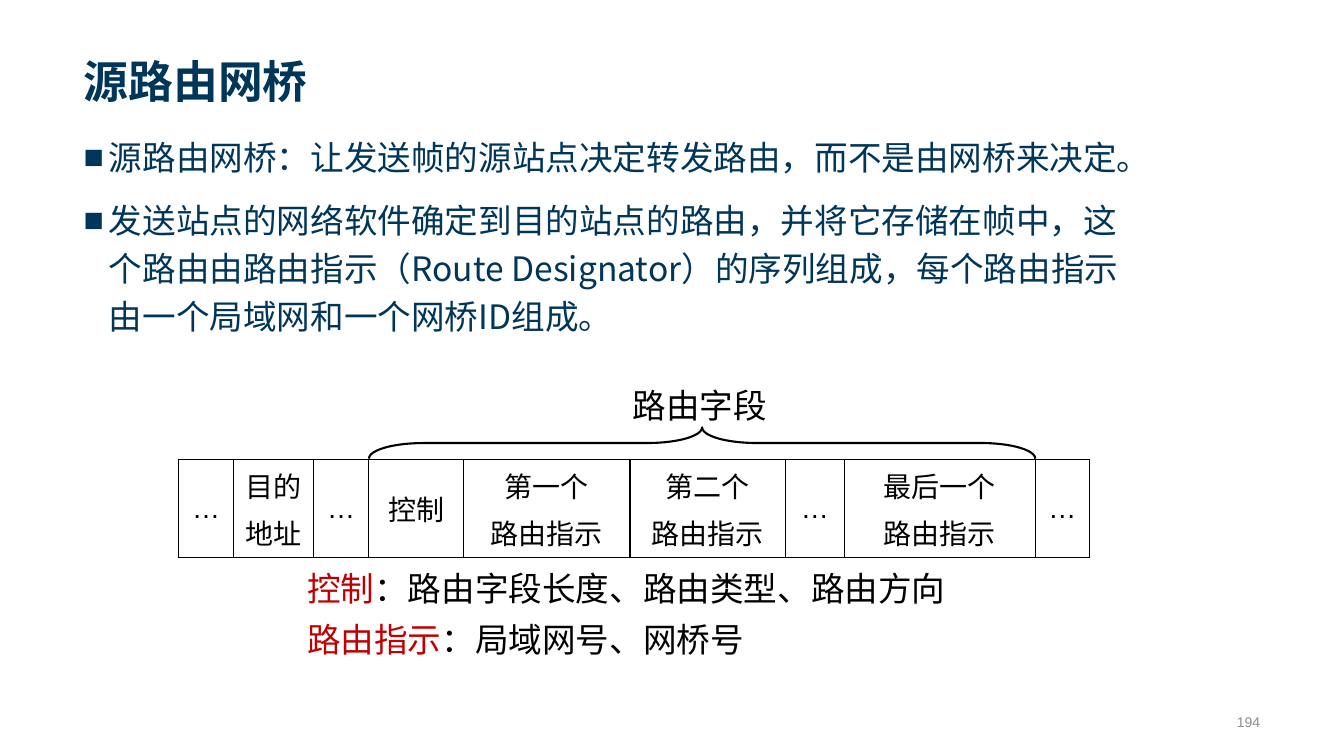
from dataclasses import dataclass

from lxml import etree
from pptx import Presentation
from pptx.dml.color import RGBColor
from pptx.enum import shapes, text
from pptx.oxml import ns
from pptx.util import Pt


@dataclass(frozen=True)
class Theme:
    navy: RGBColor = RGBColor(0x00, 0x36, 0x59)
    black: RGBColor = RGBColor(0, 0, 0)
    red: RGBColor = RGBColor(0xC0, 0, 0)
    grey: RGBColor = RGBColor(0x8C, 0x8C, 0x8C)
    cjk: str = "Noto Sans CJK SC"
    latin: str = "Arial"
    title: int = 32
    body: int = 24
    cell: int = 20
    number: int = 10


THEME = Theme()

POINTS = [
    "源路由网桥：让发送帧的源站点决定转发路由，而不是由网桥来决定。",
    "发送站点的网络软件确定到目的站点的路由，并将它存储在帧中，这个路由由路由指示"
    "（Route Designator）的序列组成，每个路由指示由一个局域网和一个网桥ID组成。",
]
FRAME_FIELDS = [
    ("…", 39.6), ("目的\n地址", 56.9), ("…", 39.6), ("控制", 67.7),
    ("第一个\n路由指示", 118.8), ("第二个\n路由指示", 110.9), ("…", 42.5),
    ("最后一个\n路由指示", 136.1), ("…", 38.9),
]
ROUTE_FIELDS = slice(3, 8)


def style(paragraph, size, color, name, bold=False):
    font = paragraph.font
    font.size, font.bold, font.name = Pt(size), bold, name
    font.color.rgb = color
    east_asian = etree.Element(ns.qn("a:ea"), typeface=THEME.cjk)
    font._element.find(ns.qn("a:latin")).addnext(east_asian)


def place(shape, left, top, width, height):
    shape.left, shape.top = Pt(left), Pt(top)
    shape.width, shape.height = Pt(width), Pt(height)


def add_title(slide, left, top, width, height):
    title = slide.shapes.title
    place(title, left, top, width, height)
    frame = title.text_frame
    frame.text = "源路由网桥"
    frame.auto_size = text.MSO_AUTO_SIZE.NONE
    frame.vertical_anchor = text.MSO_ANCHOR.BOTTOM
    heading = frame.paragraphs[0]
    heading.alignment = text.PP_ALIGN.LEFT
    style(heading, THEME.title, THEME.navy, THEME.cjk, bold=True)


def add_points(slide, left, top, width, height):
    body = slide.placeholders[1]
    place(body, left, top, width, height)
    frame = body.text_frame
    frame.text = "\n".join(POINTS)
    frame.auto_size = text.MSO_AUTO_SIZE.NONE
    for index, point in enumerate(frame.paragraphs):
        point.line_spacing = 1.2
        point.space_before = Pt(10 if index else 0)
        properties = point._p.get_or_add_pPr()
        properties.set("marL", str(Pt(18)))
        properties.set("indent", str(-Pt(18)))
        etree.SubElement(properties, ns.qn("a:buFont"), typeface=THEME.latin)
        etree.SubElement(properties, ns.qn("a:buChar"), char="■")
        style(point, THEME.body, THEME.navy, THEME.cjk)


def add_label(slide, left, top, width, height, *parts):
    """Place one centred line made of (words, colour) parts."""
    label = slide.shapes.add_textbox(Pt(left), Pt(top), Pt(width), Pt(height))
    frame = label.text_frame
    frame.word_wrap = False
    frame.auto_size = text.MSO_AUTO_SIZE.SHAPE_TO_FIT_TEXT
    line = frame.paragraphs[0]
    line.alignment = text.PP_ALIGN.CENTER
    for words, color in parts:
        run = line.add_run()
        run.text = words
        run.font.color.rgb = color
    style(line, THEME.body, THEME.black, THEME.latin)


def add_borders(cell):
    properties = cell._tc.get_or_add_tcPr()
    for index, side in enumerate(("lnL", "lnR", "lnT", "lnB")):
        border = etree.Element(ns.qn(f"a:{side}"), w=str(Pt(1)))
        fill = etree.SubElement(border, ns.qn("a:solidFill"))
        etree.SubElement(fill, ns.qn("a:srgbClr"), val=str(THEME.black))
        properties.insert(index, border)


def add_frame_format(slide, left, top, height):
    """Draw the frame fields, with a brace over the routing fields."""
    widths = [width for _, width in FRAME_FIELDS]
    table = slide.shapes.add_table(1, len(widths), Pt(left), Pt(top),
                                   Pt(sum(widths)), Pt(height)).table
    table.first_row = table.horz_banding = False
    table.rows[0].height = Pt(height)
    for column, (words, width) in enumerate(FRAME_FIELDS):
        table.columns[column].width = Pt(width)
        cell = table.cell(0, column)
        cell.text = words
        cell.vertical_anchor = text.MSO_ANCHOR.MIDDLE
        cell.fill.background()
        add_borders(cell)
        for index, line in enumerate(cell.text_frame.paragraphs):
            line.alignment = text.PP_ALIGN.CENTER
            line.space_before = Pt(4 if index else 0)
            style(line, THEME.cell, THEME.black, THEME.latin)

    span, depth = sum(widths[ROUTE_FIELDS]), 22.3
    center_x = left + sum(widths[:ROUTE_FIELDS.start]) + span / 2
    center_y = top - depth / 2 - 0.7
    brace = slide.shapes.add_shape(
        shapes.MSO_SHAPE.LEFT_BRACE, Pt(center_x - depth / 2),
        Pt(center_y - span / 2), Pt(depth), Pt(span))
    brace.rotation = 90
    brace.adjustments[0] = 1.75
    brace.shadow.inherit = False
    brace.fill.background()
    brace.line.color.rgb = THEME.black
    brace.line.width = Pt(1.5)
    add_label(slide, center_x - 61.5, top - 56.9, 120, 36,
              ("路由字段", THEME.black))


def add_legend(slide, left, top):
    entries = [("控制", "：路由字段长度、路由类型、路由方向", 480),
               ("路由指示", "：局域网号、网桥号", 336)]
    for row, (term, meaning, width) in enumerate(entries):
        add_label(slide, left, top + row * 36.7, width, 36,
                  (term, THEME.red), (meaning, THEME.black))


def add_page_number(slide, left, top, width, height):
    box = slide.shapes.add_textbox(Pt(left), Pt(top), Pt(width), Pt(height))
    frame = box.text_frame
    frame.word_wrap = True
    frame.vertical_anchor = text.MSO_ANCHOR.MIDDLE
    frame.text = "194"
    number = frame.paragraphs[0]
    number.alignment = text.PP_ALIGN.RIGHT
    style(number, THEME.number, THEME.grey, THEME.latin)


def main():
    deck = Presentation()
    deck.slide_width, deck.slide_height = Pt(960), Pt(540)
    slide = deck.slides.add_slide(deck.slide_layouts[1])
    add_title(slide, 52.6, 0, 855.4, 80.6)
    add_points(slide, 52.6, 88.6, 767.5, 226.8)
    add_frame_format(slide, 127.4, 328.3, 70)
    add_legend(slide, 207.4, 401.8)
    add_page_number(slide, 612, 504.7, 295.2, 21.6)
    deck.save("out.pptx")


if __name__ == "__main__":
    main()
